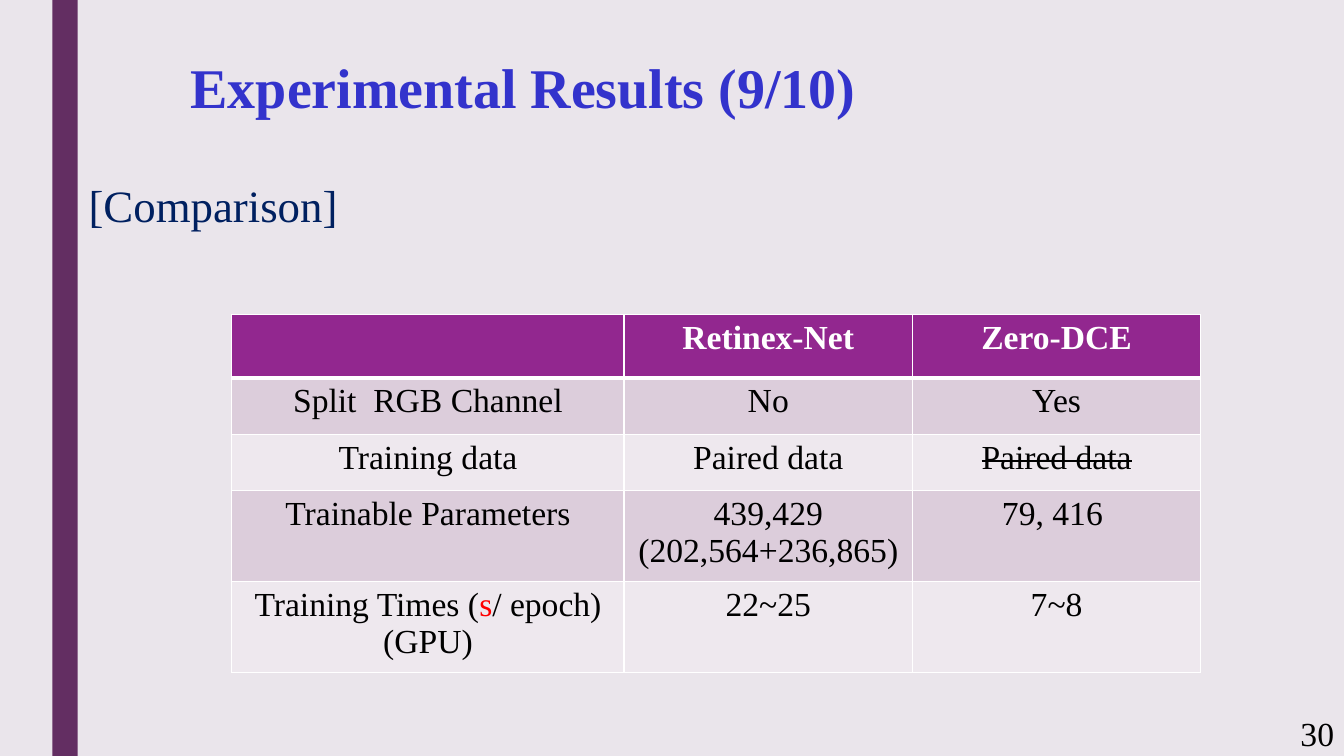
import pptx
import pptx.util
import pptx.dml.color
import pptx.enum.shapes
import pptx.enum.text
import pptx.oxml
from pptx.oxml.ns import nsdecls

W, H = 13.33, 7.5
FONT = "Times New Roman"
COLORS = {
    "background": "EAE5EB", "bar": "632E62", "title": "3333CC",
    "body": "002060", "header": "92278F", "odd": "DCCDDB",
    "even": "EEE8EE", "white": "FFFFFF", "black": "000000", "accent": "FF0000",
}
ALIGN = pptx.enum.text.PP_ALIGN
ANCHOR = pptx.enum.text.MSO_ANCHOR
ROWS = [
    ["", "Retinex-Net", "Zero-DCE"],
    ["Split  RGB Channel", "No", "Yes"],
    ["Training data", "Paired data", "Paired data"],
    ["Trainable Parameters", "439,429\n(202,564+236,865)", "79, 416 "],
    ["", "22~25", "7~8"],
]
TIME_RUNS = [("Training Times (", "black"), ("s", "accent"), ("/ epoch)", "black")]


def rgb(name):
    return pptx.dml.color.RGBColor.from_string(COLORS[name])


def inches(*values):
    return [pptx.util.Inches(v) for v in values]


def paint(shape, color):
    shape.fill.solid()
    shape.fill.fore_color.rgb = rgb(color)


def style_text(tf, size, color, bold=False, align=ALIGN.LEFT, spacing=None):
    for p in tf.paragraphs:
        p.alignment = align
        if spacing:
            p.line_spacing = spacing
        for r in p.runs:
            r.font.name = FONT
            r.font.size = pptx.util.Pt(size)
            r.font.bold = bold
            r.font.color.rgb = rgb(color)


def add_bar(s):
    sp = s.shapes.add_shape(pptx.enum.shapes.MSO_SHAPE.RECTANGLE,
                            *inches(0.52, 0, 0.25, H))
    sp.shadow.inherit = False
    sp.line.fill.background()
    paint(sp, "bar")


def add_title(s, text):
    sp = s.shapes.title
    sp.left, sp.top, sp.width, sp.height = inches(1.79, 0.55, 9.75, 1.4)
    tf = sp.text_frame
    tf.text = text
    tf.vertical_anchor = ANCHOR.TOP
    style_text(tf, 40, "title", bold=True, spacing=0.89)


def add_text(s, text, box, size, color, anchor=ANCHOR.TOP, **style):
    tf = s.shapes.add_textbox(*inches(*box)).text_frame
    tf.word_wrap = True
    tf.vertical_anchor = anchor
    tf.text = text
    style_text(tf, size, color, **style)


def set_borders(cell, widths):
    tcPr = cell._tc.get_or_add_tcPr()
    for i, (side, width) in enumerate(widths.items()):
        tcPr.insert(i, pptx.oxml.parse_xml(
            f'<a:ln{side} {nsdecls("a")} w="{pptx.util.Pt(width)}"><a:solidFill>'
            f'<a:srgbClr val="{COLORS["white"]}"/></a:solidFill></a:ln{side}>'))


def add_time_label(cell):
    tf = cell.text_frame
    for text, _ in TIME_RUNS:
        tf.paragraphs[0].add_run().text = text
    tf.add_paragraph().text = "(GPU)"
    style_text(tf, 24, "black", align=ALIGN.CENTER)
    for r, (_, color) in zip(tf.paragraphs[0].runs, TIME_RUNS):
        r.font.color.rgb = rgb(color)


def add_comparison(s):
    heights = [0.63] + [0.56] * 4
    table = s.shapes.add_table(len(ROWS), 3,
                               *inches(2.3, 3.12, 9.6, sum(heights))).table
    for column, width in zip(table.columns, inches(3.89, 2.86, 2.86)):
        column.width = width
    for row, height in zip(table.rows, inches(*heights)):
        row.height = height
    for i, row in enumerate(ROWS):
        fill = "header" if i == 0 else "odd" if i % 2 else "even"
        for j, text in enumerate(row):
            cell = table.cell(i, j)
            cell.text = text
            style_text(cell.text_frame, 24, "black" if i else "white",
                       bold=i == 0, align=ALIGN.CENTER)
            set_borders(cell, {"L": 1, "R": 1, "T": 3 if i == 1 else 1,
                               "B": 1 if i else 3})
            paint(cell, fill)
    add_time_label(table.cell(4, 0))
    struck = table.cell(2, 2).text_frame.paragraphs[0].runs[0]
    struck._r.get_or_add_rPr().set("strike", "sngStrike")


def main():
    prs = pptx.Presentation()
    prs.slide_width, prs.slide_height = inches(W, H)
    s = prs.slides.add_slide(prs.slide_layouts[5])
    paint(s.background, "background")
    add_bar(s)
    add_title(s, "Experimental Results (9/10)")
    add_text(s, "[Comparison]", (0.78, 1.76, W - 0.78, H - 1.76), 32, "body",
             spacing=0.94)
    add_text(s, "30", (W - 0.83, 7.07, 0.83, 0.4), 24, "black",
             anchor=ANCHOR.MIDDLE, align=ALIGN.RIGHT)
    add_comparison(s)
    prs.save("out.pptx")


if __name__ == "__main__":
    main()
